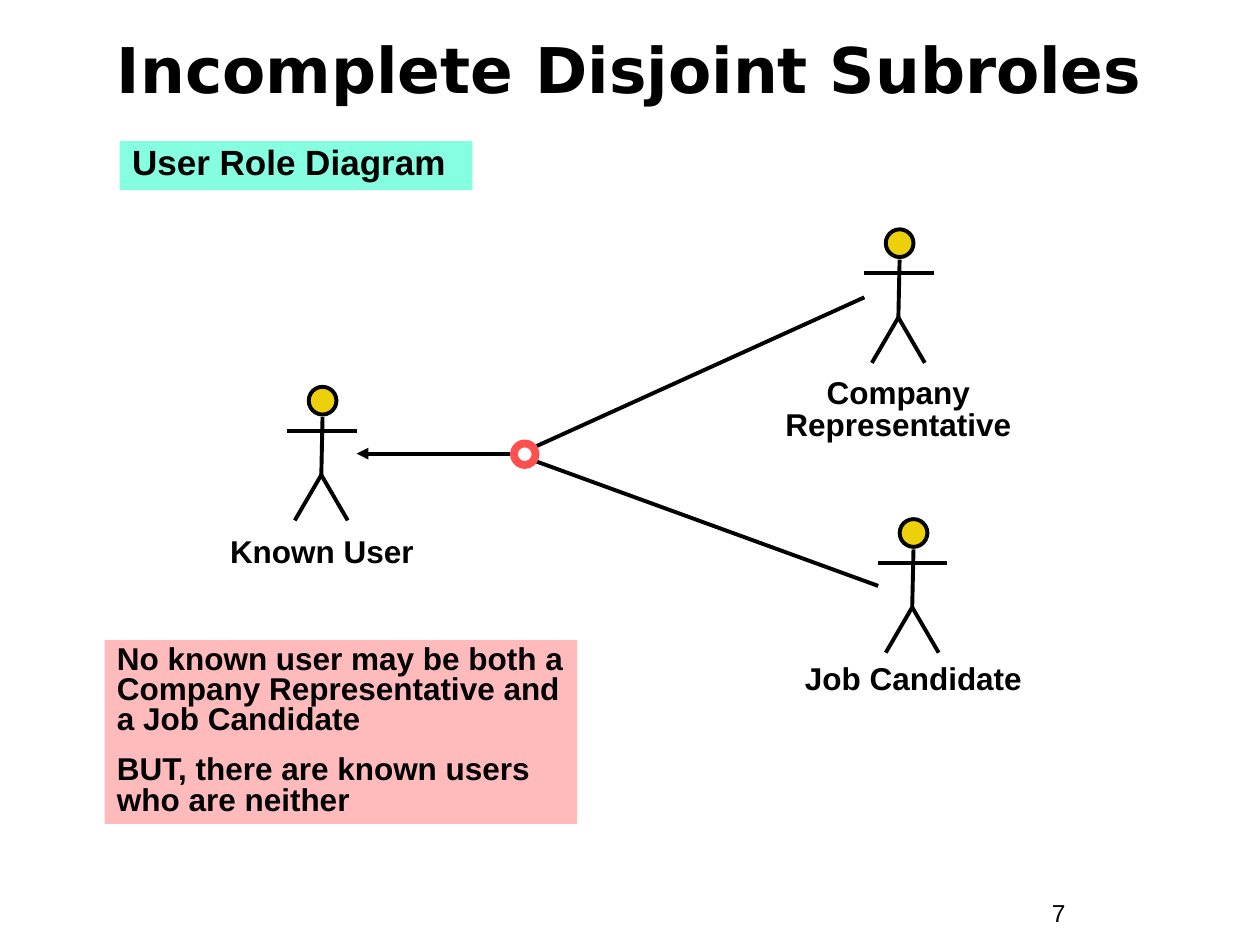
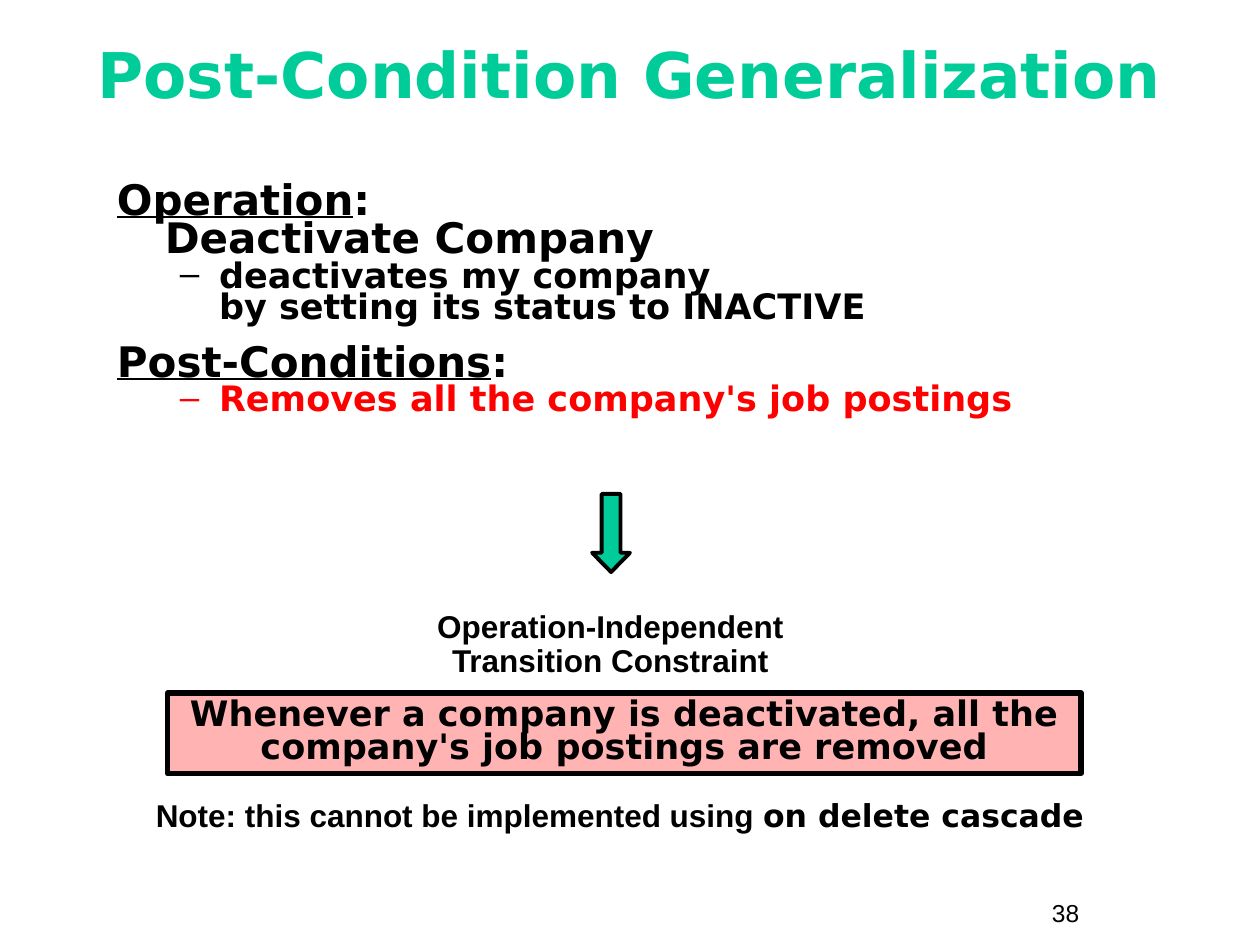
from lxml import etree
from pptx import Presentation
from pptx.dml.color import RGBColor
from pptx.enum.shapes import MSO_CONNECTOR, MSO_SHAPE
from pptx.enum.text import MSO_ANCHOR, MSO_AUTO_SIZE, PP_ALIGN
from pptx.oxml.ns import qn
from pptx.util import Inches, Pt

LEFT, CENTER = PP_ALIGN.LEFT, PP_ALIGN.CENTER
TOP, MIDDLE = MSO_ANCHOR.TOP, MSO_ANCHOR.MIDDLE
NO_AUTOFIT = MSO_AUTO_SIZE.NONE
STRAIGHT = MSO_CONNECTOR.STRAIGHT
RECTANGLE, OVAL, DOWN_ARROW = MSO_SHAPE.RECTANGLE, MSO_SHAPE.OVAL, MSO_SHAPE.DOWN_ARROW

BLACK = RGBColor(0x00, 0x00, 0x00)
GREEN = RGBColor(0x00, 0xCC, 0x99)
MINT = RGBColor(0x85, 0xFF, 0xDF)
PINK = RGBColor(0xFF, 0xBB, 0xBB)
ROSE = RGBColor(0xFF, 0xB3, 0xB3)
RED = RGBColor(0xFF, 0x00, 0x00)
CORAL = RGBColor(0xFF, 0x50, 0x50)
YELLOW = RGBColor(0xEC, 0xD1, 0x0A)

SANS, HEADING_FONT = "Arial", "DejaVu Sans"
LINE_WIDTH = 2.25


def write(para, text, size=18, font=SANS, color=BLACK, bold=True,
          underline=False, align=LEFT, spacing=1.0, before=0):
    """Append text to a paragraph, turning newlines into line breaks."""
    para.alignment = align
    para.line_spacing = spacing
    para.space_before = Pt(before)
    for index, line in enumerate(text.split("\n")):
        if index:
            para.add_line_break()
        span = para.add_run()
        span.text = line
        span.font.size = Pt(size)
        span.font.name = font
        span.font.bold = bold
        span.font.underline = underline
        span.font.color.rgb = color


def prepare_frame(box, anchor=TOP):
    frame = box.text_frame
    frame.word_wrap = True
    frame.auto_size = NO_AUTOFIT
    frame.vertical_anchor = anchor
    return frame


def add_text(page, left, top, width, height, text, **style):
    box = page.shapes.add_textbox(Inches(left), Inches(top), Inches(width), Inches(height))
    para = prepare_frame(box).paragraphs[0]
    write(para, text, **style)
    return para


def add_shape(shapes, kind, left, top, width, height, fill=None, line=None,
              line_width=LINE_WIDTH):
    shape = shapes.add_shape(kind, Inches(left), Inches(top), Inches(width), Inches(height))
    shape.shadow.inherit = False
    if fill is None:
        shape.fill.background()
    else:
        shape.fill.solid()
        shape.fill.fore_color.rgb = fill
    if line is None:
        shape.line.fill.background()
    else:
        shape.line.color.rgb = line
        shape.line.width = Pt(line_width)
    return shape


def add_panel(page, left, top, width, height, fill, texts, line=None, line_width=3,
              gap=0, **style):
    """Draw a filled rectangle holding one paragraph per text."""
    panel = add_shape(page.shapes, RECTANGLE, left, top, width, height, fill, line, line_width)
    frame = prepare_frame(panel)
    for index, text in enumerate(texts):
        para = frame.add_paragraph() if index else frame.paragraphs[0]
        write(para, text, before=gap if index else 0, **style)


def add_line(shapes, start, end, arrow_at_start=False):
    line = shapes.add_connector(STRAIGHT, *(Inches(value) for value in (*start, *end)))
    line.line.color.rgb = BLACK
    line.line.width = Pt(LINE_WIDTH)
    if arrow_at_start:
        etree.SubElement(line.line._get_or_add_ln(), qn("a:headEnd"), type="triangle")
    etree.SubElement(line._element.spPr, qn("a:effectLst"))


def add_actor(page, left, top):
    """Draw a stick figure whose head has its top left corner at the given point."""
    figure = page.shapes.add_group_shape().shapes
    add_shape(figure, OVAL, left, top, 0.22, 0.22, YELLOW, BLACK)
    hip = (0.1, 0.7)
    limbs = [((0.11, 0.24), hip), ((-0.11, 1.06), hip), ((0.31, 1.06), hip),
             ((-0.17, 0.35), (0.38, 0.35))]
    for start, end in limbs:
        add_line(figure, (left + start[0], top + start[1]), (left + end[0], top + end[1]))


def set_indent(para, margin, hanging, bullet_color=None):
    properties = para._p.get_or_add_pPr()
    properties.set("marL", str(Inches(margin)))
    properties.set("indent", str(-Inches(hanging)))
    if bullet_color is not None:
        color = etree.SubElement(properties, qn("a:buClr"))
        etree.SubElement(color, qn("a:srgbClr"), val=str(bullet_color))
        etree.SubElement(properties, qn("a:buFont"), typeface=SANS)
        etree.SubElement(properties, qn("a:buChar"), char="–")


def add_outline(page, left, top, width, height, sections):
    """List sections of (heading, rest of heading, bullet, bullet colour)."""
    box = page.shapes.add_textbox(Inches(left), Inches(top), Inches(width), Inches(height))
    frame = prepare_frame(box)
    common = {"font": HEADING_FONT, "spacing": 0.75}
    for index, (heading, rest, bullet, color) in enumerate(sections):
        para = frame.add_paragraph() if index else frame.paragraphs[0]
        before = 12 if index else 0
        set_indent(para, 0.38, 0.38)
        write(para, heading, size=24, underline=True, before=before, **common)
        write(para, rest, size=24, before=before, **common)
        para = frame.add_paragraph()
        para.level = 1
        set_indent(para, 0.81, 0.31, color)
        write(para, bullet, size=20, color=color, before=1.2, **common)


def add_page(deck, title, number, top, height, **style):
    page = deck.slides.add_slide(deck.slide_layouts[5])
    heading = page.shapes.title
    heading.left, heading.top = Inches(0.33), Inches(top)
    heading.width, heading.height = Inches(9.33), Inches(height)
    write(prepare_frame(heading, MIDDLE).paragraphs[0], title, size=36,
          font=HEADING_FONT, align=CENTER, **style)
    add_text(page, 8.25, 7.08, 0.92, 0.34, number, size=14, bold=False)
    return page


def build_subroles(deck):
    page = add_page(deck, "Incomplete Disjoint Subroles", "7", 0.13, 0.83)
    actors = [
        ("Company\nRepresentative", (7.03, 1.82), (6.13, 2.96, 2, 0.61)),
        ("Job Candidate", (7.14, 4.12), (6.25, 5.23, 2, 0.36)),
        ("Known User", (2.45, 3.07), (1.52, 4.22, 2.07, 0.36)),
    ]
    for name, head, label in actors:
        add_actor(page, *head)
        add_text(page, *label, name, align=CENTER, spacing=0.85)

    add_panel(page, 0.95, 1.12, 2.8, 0.39, MINT, ["User Role Diagram"], size=20, spacing=0.85)
    add_panel(page, 0.83, 5.08, 3.75, 1.46, PINK,
              ["No known user may be both a Company Representative and a Job Candidate",
               "BUT, there are known users who are neither"], gap=11.2, spacing=0.8)

    add_line(page.shapes, (2.83, 3.6), (4.05, 3.6), arrow_at_start=True)
    add_line(page.shapes, (4.26, 3.54), (6.86, 2.36))
    add_line(page.shapes, (4.25, 3.66), (6.97, 4.65))
    add_shape(page.shapes, OVAL, 4.08, 3.52, 0.17, 0.17, line=CORAL, line_width=4.5)


def build_post_condition(deck):
    page = add_page(deck, "Post-Condition Generalization", "38", 0.17, 0.92,
                    color=GREEN, spacing=0.85)
    add_outline(page, 0.83, 1.42, 8.58, 2.42, [
        ("Operation", ":\nDeactivate Company",
         "deactivates my company\nby setting its status to INACTIVE", BLACK),
        ("Post-Conditions", ":", "Removes all the company's job postings", RED),
    ])
    arrow = add_shape(page.shapes, DOWN_ARROW, 4.7, 3.92, 0.3, 0.62, GREEN, BLACK)
    arrow.adjustments[1] = 0.51
    add_text(page, 2.01, 4.8, 5.67, 0.64, "Operation-Independent\nTransition Constraint",
             align=CENTER, spacing=0.9)
    add_panel(page, 1.33, 5.5, 7.25, 0.64, ROSE,
              ["Whenever a company is deactivated, all the company's job postings are removed"],
              line=BLACK, size=20, font=HEADING_FONT, align=CENTER, spacing=0.8)
    note_style = {"align": CENTER, "spacing": 0.8}
    note = add_text(page, 0.92, 6.33, 8, 0.34, "Note: this cannot be implemented using ",
                    **note_style)
    write(note, "on delete cascade", font=HEADING_FONT, **note_style)


def main():
    deck = Presentation()
    deck.slide_width, deck.slide_height = Inches(10), Inches(7.5)
    build_subroles(deck)
    build_post_condition(deck)
    deck.save("out.pptx")


if __name__ == "__main__":
    main()
